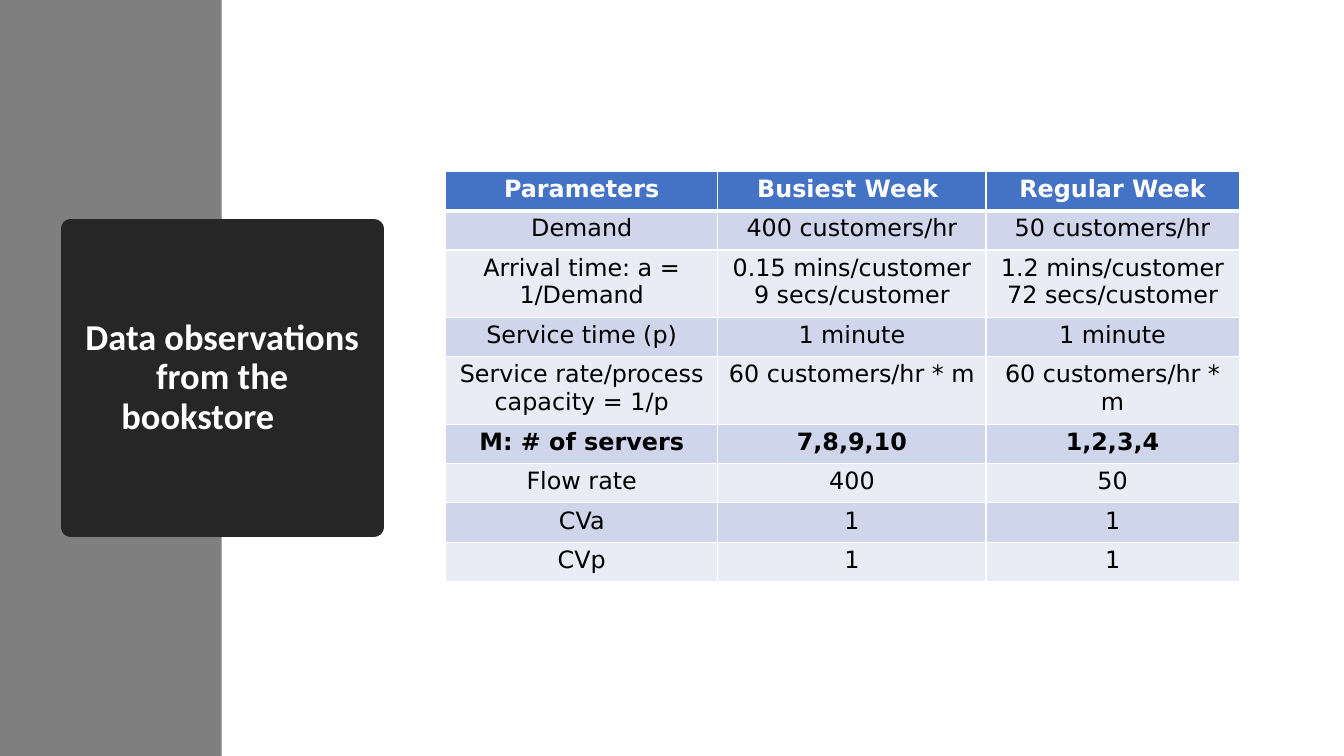
from lxml.etree import SubElement
from pptx import Presentation
from pptx.dml.color import RGBColor
from pptx.enum.shapes import MSO_SHAPE
from pptx.enum.text import MSO_ANCHOR, MSO_AUTO_SIZE, PP_ALIGN
from pptx.oxml import parse_xml
from pptx.oxml.ns import nsdecls, qn
from pptx.util import Inches, Pt

WHITE = RGBColor(0xFF, 0xFF, 0xFF)
BLACK = RGBColor(0x00, 0x00, 0x00)
GRAY = RGBColor(0x7F, 0x7F, 0x7F)
CHARCOAL = RGBColor(0x26, 0x26, 0x26)
HEADER_BLUE = RGBColor(0x44, 0x72, 0xC4)
BANDS = [RGBColor(0xE9, 0xEB, 0xF5), RGBColor(0xCF, 0xD5, 0xEA)]

ROWS = [
    ["Parameters", "Busiest Week ", "Regular Week"],
    ["Demand", "400 customers/hr", "50 customers/hr"],
    ["Arrival time: a = 1/Demand", "0.15 mins/customer\n9 secs/customer",
     "1.2 mins/customer\n72 secs/customer"],
    ["Service time (p)", "1 minute", "1 minute"],
    ["Service rate/process capacity = 1/p", "60 customers/hr * m", "60 customers/hr * m"],
    ["M: # of servers", "7,8,9,10", "1,2,3,4"],
    ["Flow rate", "400", "50"],
    ["CVa", "1", "1"],
    ["CVp", "1", "1"],
]
HEADER_ROW, SERVERS_ROW = 0, 5
TWO_LINE_ROWS = (2, 4)
COLUMN_WIDTHS = [2.7, 2.66, 2.51]


def add_span(para, text, font_name, size, color, bold):
    span = para.add_run()
    span.text = text
    span.font.name = font_name
    span.font.size = Pt(size)
    span.font.color.rgb = color
    span.font.bold = bold


def set_borders(cell, top, bottom):
    properties = cell._tc.get_or_add_tcPr()
    sides = [("lnL", 1), ("lnR", 1), ("lnT", top), ("lnB", bottom)]
    for position, (side, points) in enumerate(sides):
        properties.insert(position, parse_xml(
            f'<a:{side} {nsdecls("a")} w="{Pt(points)}"><a:solidFill>'
            f'<a:srgbClr val="{WHITE}"/></a:solidFill></a:{side}>'))


deck = Presentation()
deck.slide_width, deck.slide_height = Inches(13.33), Inches(7.5)
page = deck.slides.add_slide(deck.slide_layouts[5])

# Side band, behind the title
band = page.shapes.add_shape(MSO_SHAPE.RECTANGLE, 0, 0, Inches(2.2), deck.slide_height)
band.shadow.inherit = False
band.fill.solid()
band.fill.fore_color.rgb = GRAY
band.line.fill.background()
page.shapes._spTree.insert(2, band._element)

# Title block with a thick, round-cornered outline
title = page.shapes.title
title.left, title.top = Inches(0.7), Inches(2.27)
title.width, title.height = Inches(3.01), Inches(2.96)
title.fill.solid()
title.fill.fore_color.rgb = CHARCOAL
title.line.color.rgb = CHARCOAL
title.line.width = Pt(13.75)
SubElement(title.line._get_or_add_ln(), qn("a:round"))
box = title.text_frame
box.word_wrap = True
box.auto_size = MSO_AUTO_SIZE.NONE
box.vertical_anchor = MSO_ANCHOR.MIDDLE
para = box.paragraphs[0]
para.alignment = PP_ALIGN.CENTER
para.line_spacing = 0.9
add_span(para, "Data observations from the bookstore\t", "Calibri", 26, WHITE, True)

# Table of observations
row_heights = [0.67 if row in TWO_LINE_ROWS else 0.39 for row in range(len(ROWS))]
table = page.shapes.add_table(
    len(ROWS), len(COLUMN_WIDTHS), Inches(4.42), Inches(1.7),
    Inches(sum(COLUMN_WIDTHS)), Inches(sum(row_heights))).table
for column, width in zip(table.columns, COLUMN_WIDTHS):
    column.width = Inches(width)

for row, values in enumerate(ROWS):
    table.rows[row].height = Inches(row_heights[row])
    is_header = row == HEADER_ROW
    for column, value in enumerate(values):
        cell = table.cell(row, column)
        cell.fill.solid()
        cell.fill.fore_color.rgb = HEADER_BLUE if is_header else BANDS[row % 2]
        cell.margin_left = cell.margin_right = Inches(0.08)
        cell.margin_top = cell.margin_bottom = Inches(0.04)
        set_borders(cell, top=3 if row == HEADER_ROW + 1 else 1, bottom=3 if is_header else 1)
        for index, line in enumerate(value.split("\n")):
            frame = cell.text_frame
            para = frame.add_paragraph() if index else frame.paragraphs[0]
            para.alignment = PP_ALIGN.CENTER
            add_span(para, line, "DejaVu Sans", 17, WHITE if is_header else BLACK,
                     row in (HEADER_ROW, SERVERS_ROW))

deck.save("out.pptx")
